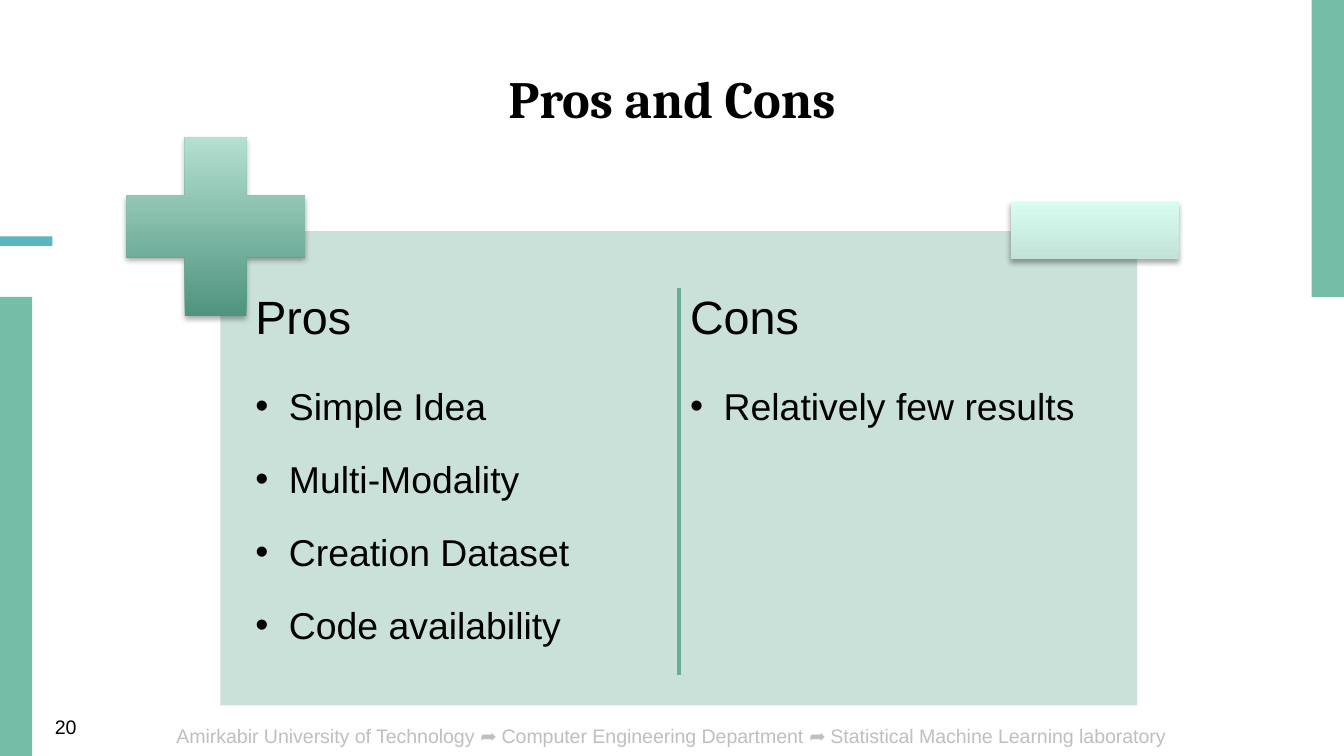
from lxml.etree import SubElement
from pptx import Presentation
from pptx.dml.color import RGBColor
from pptx.enum.shapes import MSO_CONNECTOR, MSO_SHAPE
from pptx.enum.text import MSO_ANCHOR, MSO_AUTO_SIZE, PP_ALIGN
from pptx.oxml.ns import qn
from pptx.util import Inches, Pt

BLACK = RGBColor(0x00, 0x00, 0x00)
GRAY = RGBColor(0xBF, 0xBF, 0xBF)
GREEN = RGBColor(0x75, 0xBD, 0xA7)
BLUE = RGBColor(0x58, 0xB6, 0xC0)
PANEL_GREEN = RGBColor(0xCA, 0xE1, 0xD9)
DIVIDER_GREEN = RGBColor(0x6A, 0xAC, 0x98)
PLUS_DARK = RGBColor(0x4F, 0x94, 0x7F)
PLUS_LIGHT = RGBColor(0xB4, 0xE0, 0xD0)
MINUS_DARK = RGBColor(0xC3, 0xE3, 0xD8)
MINUS_LIGHT = RGBColor(0xD7, 0xFD, 0xF0)

WIDTH = Inches(10)
HEIGHT = WIDTH * 9 // 16
COLUMN, ROW = WIDTH / 100, HEIGHT / 56.25

EDGE_BARS = [
    (97.6, 0, 2.4, 22.1, GREEN),
    (0, 22.1, 2.4, 34.15, GREEN),
    (0, 17.6, 3.9, 0.7, BLUE),
]
LISTS = [
    ("Pros", ["Simple Idea", "Multi-Modality", "Creation Dataset", "Code availability"]),
    ("Cons", ["Relatively few results"]),
]
LIST_LEFT, LIST_TOP, LIST_STEP = 18.5, 21.4, 32.35
FOOTER = (
    "Amirkabir University of Technology ➦ Computer Engineering Department"
    " ➦ Statistical Machine Learning laboratory"
)


def place(column, row, columns, rows):
    return (
        round(column * COLUMN),
        round(row * ROW),
        round(columns * COLUMN),
        round(rows * ROW),
    )


def style(paragraph, size, color=BLACK, name="Arial", bold=False):
    for run in paragraph.runs:
        run.font.size = Pt(size)
        run.font.name = name
        run.font.bold = bold
        run.font.color.rgb = color


def set_margins(frame, margin):
    frame.margin_left = frame.margin_right = margin
    frame.margin_top = frame.margin_bottom = margin


def add_block(slide, cell, color):
    block = slide.shapes.add_shape(MSO_SHAPE.RECTANGLE, *place(*cell))
    block.shadow.inherit = False
    block.fill.solid()
    block.fill.fore_color.rgb = color
    block.line.fill.background()


def add_sign(slide, kind, cell, dark, light):
    sign = slide.shapes.add_shape(kind, *place(*cell))
    sign.fill.gradient()
    sign.fill.gradient_angle = 90
    for stop, color, position in zip(sign.fill.gradient_stops, (dark, light), (0, 1)):
        stop.color.rgb = color
        stop.position = position
    sign.line.fill.background()
    sign.shadow.inherit = False
    effects = sign.element.spPr.find(qn("a:effectLst"))
    shadow = SubElement(
        effects,
        qn("a:outerShdw"),
        blurRad=str(Pt(3.1)),
        dist=str(Pt(1.8)),
        dir="5400000",
        rotWithShape="0",
    )
    shade = SubElement(shadow, qn("a:srgbClr"), val="000000")
    SubElement(shade, qn("a:alpha"), val="35000")
    return sign


def add_label(slide, cell, text, color, alignment):
    label = slide.shapes.add_textbox(*place(*cell)).text_frame
    label.word_wrap = True
    label.text = text
    label.paragraphs[0].alignment = alignment
    style(label.paragraphs[0], 10.5, color)


def add_bullet(paragraph):
    properties = paragraph._p.get_or_add_pPr()
    properties.set("marL", str(Inches(0.25)))
    properties.set("indent", str(Inches(-0.25)))
    color = SubElement(properties, qn("a:buClr"))
    SubElement(color, qn("a:srgbClr"), val=str(BLACK))
    SubElement(properties, qn("a:buFont"), typeface="Arial")
    SubElement(properties, qn("a:buChar"), char="•")


def add_list(slide, cell, heading, items):
    body = slide.shapes.add_textbox(*place(*cell)).text_frame
    body.word_wrap = True
    set_margins(body, Inches(0.05))
    body.text = heading
    head = body.paragraphs[0]
    head.line_spacing = 0.9
    head.space_after = Pt(8.75)
    style(head, 25)
    for item in items:
        point = body.add_paragraph()
        point.text = item
        point.level = 1
        add_bullet(point)
        point.line_spacing = 1.5
        point.space_after = Pt(3)
        style(point, 20)


def add_divider(slide, column, top, bottom):
    x, y, _, length = place(column, top, 0, bottom - top)
    divider = slide.shapes.add_connector(MSO_CONNECTOR.STRAIGHT, x, y, x, y + length)
    divider.line.color.rgb = DIVIDER_GREEN
    divider.line.width = Pt(2)
    SubElement(divider.element.spPr, qn("a:effectLst"))


def set_title(slide, cell, text):
    title = slide.shapes.title
    title.left, title.top, title.width, title.height = place(*cell)
    frame = title.text_frame
    frame.text = text
    frame.auto_size = MSO_AUTO_SIZE.NONE
    frame.vertical_anchor = MSO_ANCHOR.MIDDLE
    set_margins(frame, Inches(0.1))
    frame.paragraphs[0].alignment = PP_ALIGN.CENTER
    style(frame.paragraphs[0], 28, name="Cambria", bold=True)


def main():
    deck = Presentation()
    deck.slide_width, deck.slide_height = WIDTH, HEIGHT
    slide = deck.slides.add_slide(deck.slide_layouts[5])

    for *cell, color in EDGE_BARS:
        add_block(slide, cell, color)
    add_label(slide, (8.3, 53.4, 83.4, 2.85), FOOTER, GRAY, PP_ALIGN.CENTER)
    add_label(slide, (3.1, 52.7, 5.9, 2.8), "20", BLACK, PP_ALIGN.LEFT)
    set_title(slide, (8.3, 4.1, 83.4, 6.3), "Pros and Cons")

    add_block(slide, (16.4, 17.2, 68.2, 35.3), PANEL_GREEN)
    for index, (heading, items) in enumerate(LISTS):
        cell = (LIST_LEFT + index * LIST_STEP, LIST_TOP, 31.7, 30.2)
        add_list(slide, cell, heading, items)
    plus = add_sign(
        slide, MSO_SHAPE.CROSS, (9.4, 10.2, 13.3, 13.3), PLUS_DARK, PLUS_LIGHT
    )
    plus.adjustments[0] = 0.328
    add_sign(
        slide, MSO_SHAPE.RECTANGLE, (75.2, 15, 12.5, 4.3), MINUS_DARK, MINUS_LIGHT
    )
    add_divider(slide, 50.5, LIST_TOP, 50.2)

    deck.save("out.pptx")


if __name__ == "__main__":
    main()
